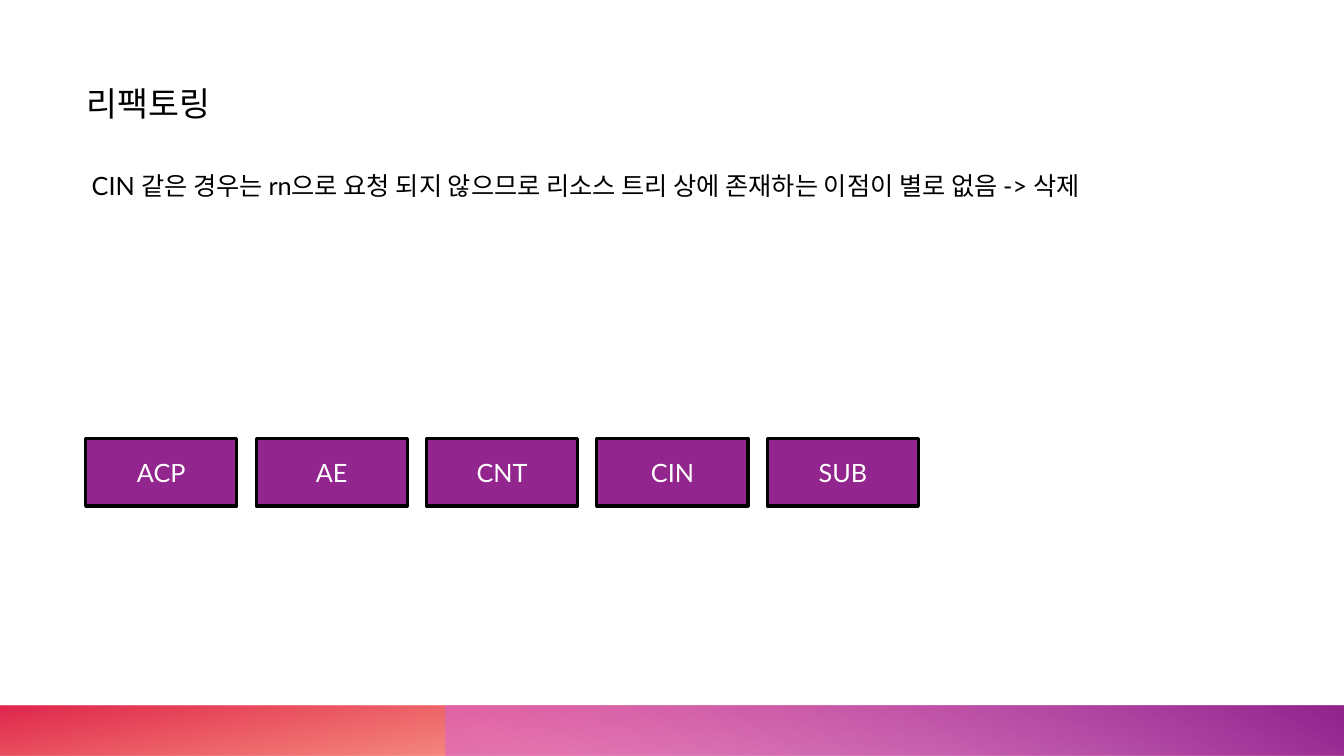
from lxml import etree
from pptx import Presentation
from pptx import util as u
from pptx.dml.color import RGBColor
from pptx.enum import shapes, text
from pptx.oxml.ns import qn

HUE = {"ink": "000000", "paper": "FFFFFF", "plum": "93258E",
       "flame": "FE4A00", "red": "DA002F", "pink": "D861D4", "grape": "92248E"}


def rgb(name):
    return RGBColor.from_string(HUE[name])


def write(shape, words, size, hue, align, anchor):
    """Fill a shape with one formatted paragraph."""
    frame = shape.text_frame
    frame.text = words
    para = frame.paragraphs[0]
    props = para._p.get_or_add_pPr()
    props.set("marL", "0")
    props.set("indent", "0")
    etree.SubElement(props, qn("a:buNone"))
    form = {
        frame: {"word_wrap": True, "vertical_anchor": anchor,
                "auto_size": text.MSO_AUTO_SIZE.NONE},
        para: {"alignment": align, "space_before": u.Pt(0)},
        para.runs[0].font: {"name": "Lato", "size": u.Pt(size)},
    }
    for item, values in form.items():
        for key, value in values.items():
            setattr(item, key, value)
    para.runs[0].font.color.rgb = rgb(hue)


deck = Presentation()
deck.slide_width, deck.slide_height = u.Inches(13.33), u.Inches(7.5)
slide = deck.slides.add_slide(deck.slide_layouts[1])

# Footer bands: left, width, angle, stops of (position, colour, opacity in percent)
bands = [
    (0, 13.33, 100, [(0.14, "flame", 28), (1, "red", 85)]),
    (4.42, 8.91, 60, [(0.09, "pink", 55), (0.99, "grape", 100)]),
]
for left, width, angle, stops in bands:
    band = slide.shapes.add_shape(shapes.MSO_SHAPE.RECTANGLE, u.Inches(left),
                                  u.Inches(7), u.Inches(width), u.Inches(0.5))
    band.shadow.inherit = False
    band.line.fill.background()
    band.fill.gradient()
    band.fill.gradient_angle = angle
    for stop, (place, hue, solid) in zip(band.fill.gradient_stops, stops):
        stop.position = place
        stop.color.rgb = rgb(hue)
    tints = band._element.spPr.iter(qn("a:srgbClr"))
    for tint, (place, hue, solid) in zip(list(tints), stops):
        etree.SubElement(tint, qn("a:alpha"), val=str(solid * 1000))

# Heading and remark
lines = [
    (slide.shapes.title, "리팩토링", 24, (0.76, 0.77, 8.2, 0.5)),
    (slide.placeholders[1],
     "CIN 같은 경우는 rn으로 요청 되지 않으므로 리소스 트리 상에 존재하는 이점이 별로 없음 -> 삭제",
     18, (0.81, 1.64, 12.22, 0.4)),
]
for holder, words, size, spot in lines:
    for side, value in zip(("left", "top", "width", "height"), spot):
        setattr(holder, side, u.Inches(value))
    write(holder, words, size, "ink", text.PP_ALIGN.LEFT, text.MSO_ANCHOR.TOP)

# Row of resource types
for col, label in enumerate(["ACP", "AE", "CNT", "CIN", "SUB"]):
    box = slide.shapes.add_shape(shapes.MSO_SHAPE.RECTANGLE, u.Inches(0.85 + 1.69 * col),
                                 u.Inches(4.35), u.Inches(1.5), u.Inches(0.67))
    box.shadow.inherit = False
    box.fill.solid()
    box.fill.fore_color.rgb = rgb("plum")
    box.line.color.rgb = rgb("ink")
    box.line.width = u.Pt(2.25)
    write(box, label, 18, "paper", text.PP_ALIGN.CENTER, text.MSO_ANCHOR.MIDDLE)

deck.save("out.pptx")
